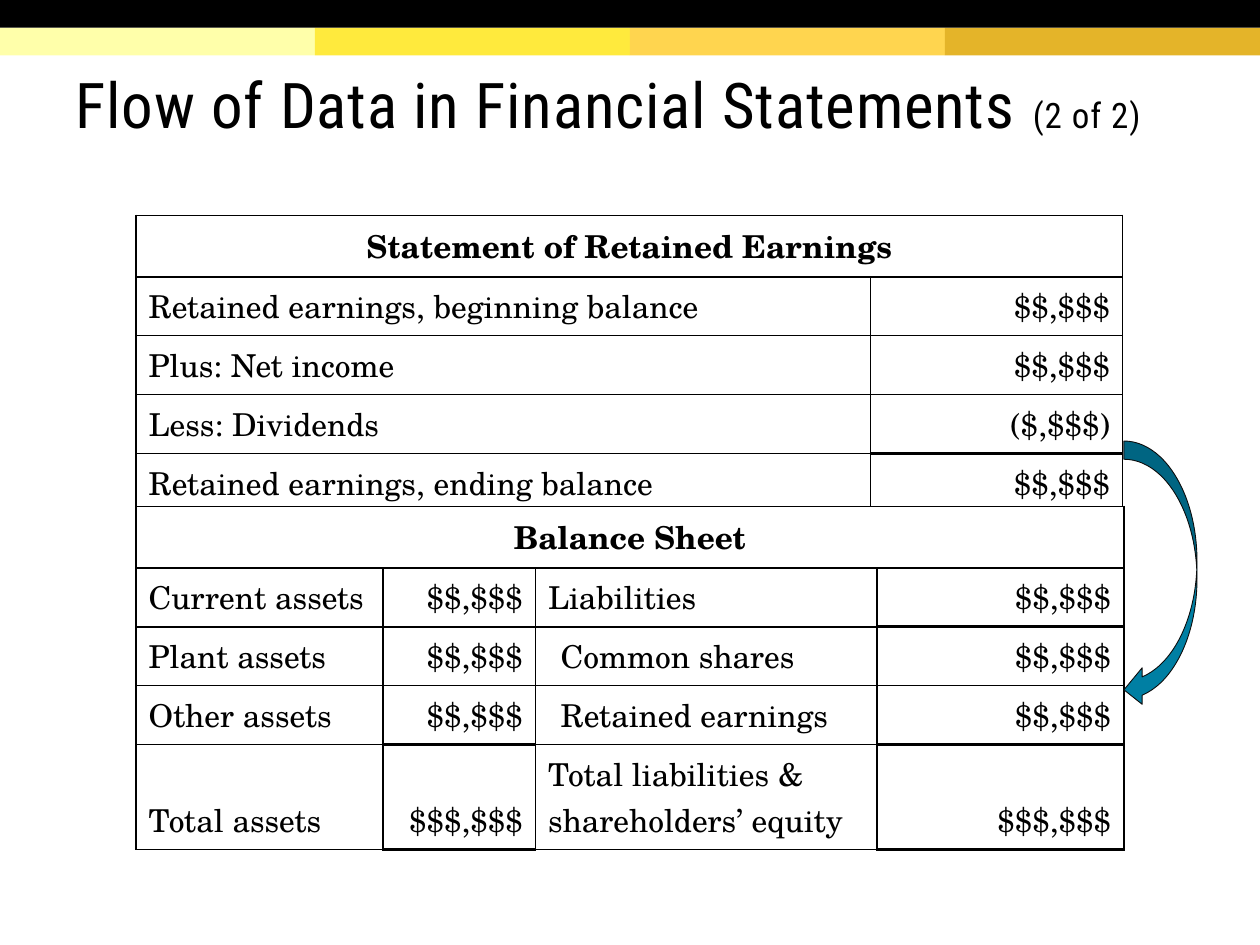
from dataclasses import dataclass, field

from lxml import etree
from pptx import Presentation
from pptx import util as u
from pptx.dml.color import RGBColor
from pptx.enum import shapes, text
from pptx.oxml import ns


@dataclass(frozen=True)
class Theme:
    black: str = "000000"
    white: str = "FFFFFF"
    bands: tuple = ("FFFFAA", "FFEA3D", "FFD54F", "E4B429")
    arrow: str = "007FA3"
    arrow_line: str = "0C0C0C"
    title_font: str = "Roboto Condensed"
    table_font: str = "TeX Gyre Schola"
    title_size: float = 36
    counter_size: float = 20
    table_size: float = 18
    thin: float = 1
    heavy: float = 2.25


@dataclass(frozen=True)
class Box:
    left: float
    top: float
    width: float
    height: float

    def lengths(self) -> tuple:
        return tuple(u.Inches(v) for v in (self.left, self.top, self.width, self.height))


@dataclass(frozen=True)
class Statement:
    box: Box
    columns: tuple
    heading: str
    rows: tuple
    amount_columns: tuple
    heavy_below: frozenset
    indented: frozenset = field(default_factory=frozenset)


THEME = Theme()
WIDTH, HEIGHT = 10, 7.5
BAND_HEIGHT = 0.22
ROW_HEIGHT = 0.41

STATEMENTS = (
    Statement(
        box=Box(1.08, 1.71, 7.83, 2.03),
        columns=(5.83, 2),
        heading="Statement of Retained Earnings",
        rows=(
            ("Retained earnings, beginning balance", "$$,$$$"),
            ("Plus: Net income", "$$,$$$"),
            ("Less: Dividends", "($,$$$)"),
            ("Retained earnings, ending balance", "$$,$$$"),
        ),
        amount_columns=(1,),
        heavy_below=frozenset({(3, 1), (4, 1)}),
    ),
    Statement(
        box=Box(1.08, 4.02, 7.83, 2.32),
        columns=(1.96, 1.21, 2.71, 1.96),
        heading="Balance Sheet",
        rows=(
            ("Current assets", "$$,$$$", "Liabilities", "$$,$$$"),
            ("Plant assets", "$$,$$$", "Common shares", "$$,$$$"),
            ("Other assets", "$$,$$$", "Retained earnings", "$$,$$$"),
            ("Total assets", "$$$,$$$", "Total liabilities & shareholders’ equity", "$$$,$$$"),
        ),
        amount_columns=(1, 3),
        heavy_below=frozenset({(1, 3), (3, 1), (3, 3), (4, 1), (4, 3)}),
        indented=frozenset({(2, 2), (3, 2)}),
    ),
)


def apply_format(target, values: dict) -> None:
    for name, value in values.items():
        setattr(target, name, value)


def format_font(font, name: str, size: float, bold: bool = False) -> None:
    apply_format(font, {"name": name, "size": u.Pt(size), "bold": bold})
    font.color.rgb = RGBColor.from_string(THEME.black)


def add_filled_shape(slide, kind, box: Box, fill: str):
    shape = slide.shapes.add_shape(kind, *box.lengths())
    shape.shadow.inherit = False
    shape.fill.solid()
    shape.fill.fore_color.rgb = RGBColor.from_string(fill)
    shape.line.fill.background()
    return shape


def add_bands(slide) -> None:
    step = WIDTH / len(THEME.bands)
    for index, color in enumerate(THEME.bands):
        box = Box(index * step, BAND_HEIGHT, step, BAND_HEIGHT)
        add_filled_shape(slide, shapes.MSO_SHAPE.RECTANGLE, box, color)
    add_filled_shape(slide, shapes.MSO_SHAPE.RECTANGLE, Box(0, 0, WIDTH, BAND_HEIGHT), THEME.black)


def write_title(slide) -> None:
    title = slide.shapes.title
    left, top, width, height = Box(0.5, 0.24, 9.25, 1.2).lengths()
    apply_format(title, {"left": left, "top": top, "width": width, "height": height})
    apply_format(title.text_frame, {
        "word_wrap": True,
        "auto_size": text.MSO_AUTO_SIZE.NONE,
        "vertical_anchor": text.MSO_ANCHOR.MIDDLE,
        "margin_left": u.Inches(0.1),
        "margin_right": u.Inches(0.1),
        "margin_top": u.Inches(0.1),
        "margin_bottom": u.Inches(0.05),
    })
    paragraph = title.text_frame.paragraphs[0]
    apply_format(paragraph, {"alignment": text.PP_ALIGN.LEFT, "line_spacing": 0.85})
    for words, size in (
        ("Flow of Data in Financial Statements ", THEME.title_size),
        ("(2 of 2)", THEME.counter_size),
    ):
        run = paragraph.add_run()
        run.text = words
        format_font(run.font, THEME.title_font, size)
        run.font._element.set("spc", "50")


def set_borders(cell, widths: dict) -> None:
    properties = cell._tc.get_or_add_tcPr()
    for index, side in enumerate("LRTB"):
        line = etree.Element(ns.qn(f"a:ln{side}"), w=str(u.Pt(widths.get(side, THEME.thin))))
        fill = etree.SubElement(line, ns.qn("a:solidFill"))
        etree.SubElement(fill, ns.qn("a:srgbClr"), val=THEME.black)
        properties.insert(index, line)


def write_cell(cell, words: str, alignment, bold: bool, anchor) -> None:
    cell.vertical_anchor = anchor
    paragraph = cell.text_frame.paragraphs[0]
    paragraph.alignment = alignment
    run = paragraph.add_run()
    run.text = words
    format_font(run.font, THEME.table_font, THEME.table_size, bold)


def add_statement(slide, statement: Statement) -> None:
    row_count, column_count = len(statement.rows) + 1, len(statement.columns)
    frame = slide.shapes.add_table(row_count, column_count, *statement.box.lengths())
    table = frame.table
    apply_format(table, {"first_row": False, "horz_banding": False})
    for column, width in zip(table.columns, statement.columns):
        column.width = u.Inches(width)
    for row in table.rows:
        row.height = u.Inches(ROW_HEIGHT)
    frame.height = u.Inches(statement.box.height)

    for r in range(row_count):
        for c in range(column_count):
            cell = table.cell(r, c)
            cell.fill.solid()
            cell.fill.fore_color.rgb = RGBColor.from_string(THEME.white)
            widths = {}
            if (r, c) in statement.heavy_below:
                widths["B"] = THEME.heavy
            if (r - 1, c) in statement.heavy_below:
                widths["T"] = THEME.heavy
            set_borders(cell, widths)

    table.cell(0, 0).merge(table.cell(0, column_count - 1))
    write_cell(table.cell(0, 0), statement.heading, text.PP_ALIGN.CENTER, True, text.MSO_ANCHOR.TOP)
    for r, entries in enumerate(statement.rows, start=1):
        anchor = text.MSO_ANCHOR.BOTTOM if r == row_count - 1 else text.MSO_ANCHOR.TOP
        for c, words in enumerate(entries):
            is_amount = c in statement.amount_columns
            alignment = text.PP_ALIGN.RIGHT if is_amount else text.PP_ALIGN.LEFT
            cell = table.cell(r, c)
            write_cell(cell, words, alignment, False, anchor)
            if (r, c) in statement.indented:
                properties = cell.text_frame.paragraphs[0]._p.get_or_add_pPr()
                properties.set("marL", str(u.Inches(0.1)))


def add_flow_arrow(slide) -> None:
    arrow = add_filled_shape(
        slide, shapes.MSO_SHAPE.CURVED_LEFT_ARROW, Box(8.92, 3.5, 0.58, 2.12), THEME.arrow
    )
    arrow.line.color.rgb = RGBColor.from_string(THEME.arrow_line)
    arrow.line.width = u.Pt(0.5)


def main() -> None:
    presentation = Presentation()
    apply_format(presentation, {"slide_width": u.Inches(WIDTH), "slide_height": u.Inches(HEIGHT)})
    slide = presentation.slides.add_slide(presentation.slide_layouts[5])
    add_bands(slide)
    write_title(slide)
    for statement in STATEMENTS:
        add_statement(slide, statement)
    add_flow_arrow(slide)
    presentation.save("out.pptx")


if __name__ == "__main__":
    main()
